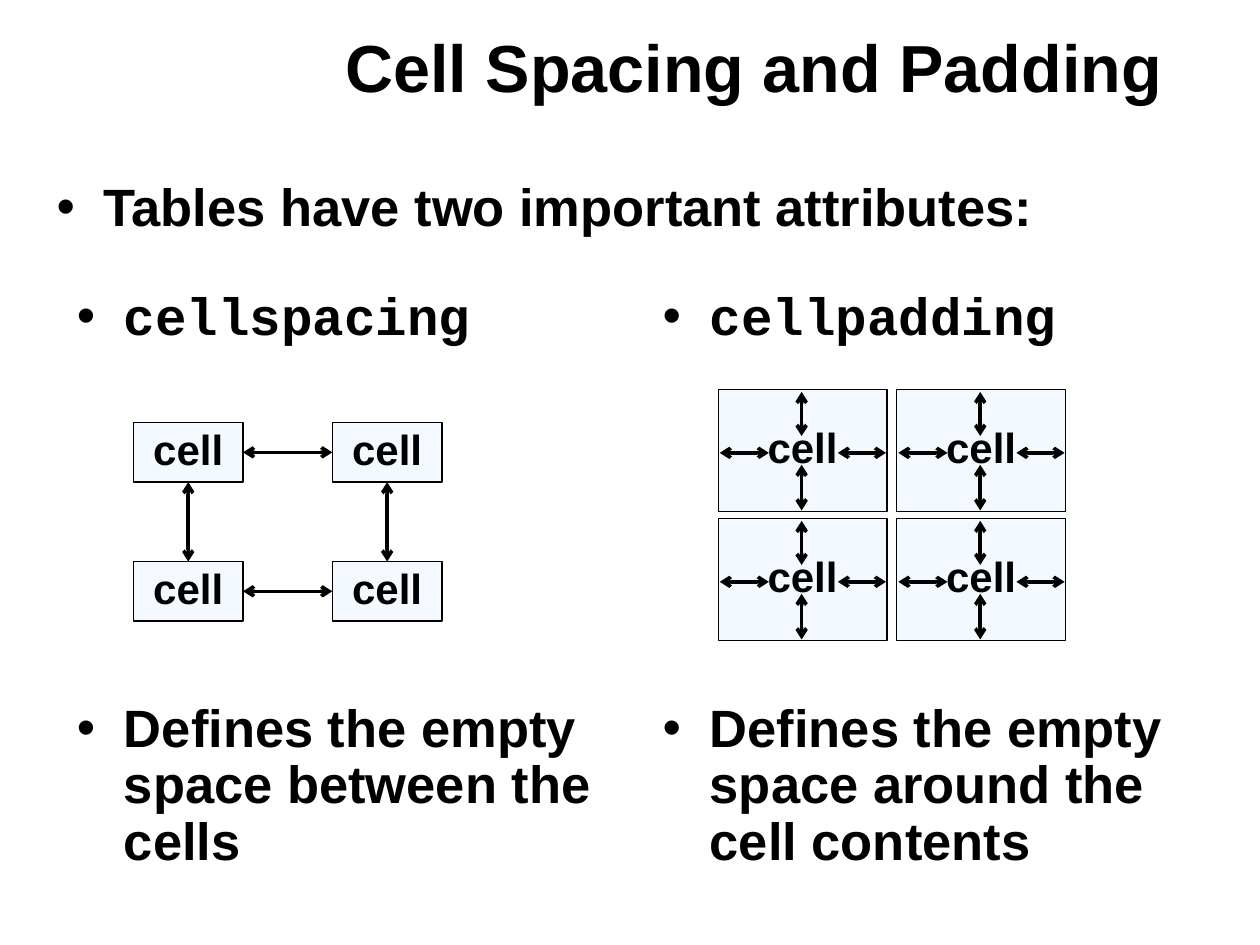
from itertools import product
from typing import NamedTuple

from lxml import etree
from pptx import Presentation
from pptx import util as u
from pptx.dml.color import RGBColor
from pptx.enum import shapes, text
from pptx.oxml.ns import qn

COLORS = {"ink": "000000", "cell": "DDECFF"}
SANS, MONO = "Arial", "Courier New"
CELL_OPACITY = 30000


class Box(NamedTuple):
    """Position and size in centimetres."""
    left: float
    top: float
    width: float
    height: float

    def lengths(self) -> list:
        return [u.Cm(value) for value in self]


class Bullet(NamedTuple):
    words: str
    font: str = SANS
    space_before: int = 0


class Arrow(NamedTuple):
    """Start and end in centimetres."""
    x1: float
    y1: float
    x2: float
    y2: float


class Grid(NamedTuple):
    """Two by two cells: the first cell and the step to the next ones."""
    first: Box
    step_x: float
    step_y: float

    def cells(self) -> list[Box]:
        left, top, width, height = self.first
        return [Box(left + column * self.step_x, top + row * self.step_y, width, height)
                for row, column in product(range(2), repeat=2)]


def color(name: str) -> RGBColor:
    return RGBColor.from_string(COLORS[name])


def format_paragraph(paragraph, size: int, spacing: float, font: str = SANS) -> None:
    paragraph.line_spacing = spacing
    for run in paragraph.runs:
        run.font.name = font
        run.font.size = u.Pt(size)
        run.font.bold = True
        run.font.color.rgb = color("ink")


def add_bullets(slide, box: Box, bullets: list[Bullet]) -> None:
    frame = slide.shapes.add_textbox(*box.lengths()).text_frame
    frame.word_wrap = True
    frame.text = "\n".join(bullet.words for bullet in bullets)
    for paragraph, bullet in zip(frame.paragraphs, bullets):
        format_paragraph(paragraph, 30, 0.9, bullet.font)
        paragraph.space_before = u.Pt(bullet.space_before)
        properties = paragraph._p.get_or_add_pPr()
        properties.set("marL", str(u.Cm(0.95)))
        properties.set("indent", str(u.Cm(-0.95)))
        bullet_color = etree.SubElement(properties, qn("a:buClr"))
        etree.SubElement(bullet_color, qn("a:srgbClr"), val=COLORS["ink"])
        etree.SubElement(properties, qn("a:buFont"), typeface=SANS)
        etree.SubElement(properties, qn("a:buChar"), char="•")


def add_cell(group, box: Box) -> None:
    shape = group.shapes.add_shape(shapes.MSO_SHAPE.RECTANGLE, *box.lengths())
    shape.shadow.inherit = False
    shape.fill.solid()
    shape.fill.fore_color.rgb = color("cell")
    fill_color = shape._element.spPr.find(qn("a:solidFill"))[0]
    etree.SubElement(fill_color, qn("a:alpha"), val=str(CELL_OPACITY))
    shape.line.color.rgb = color("ink")
    shape.line.width = u.Pt(0.75)
    frame = shape.text_frame
    frame.word_wrap = False
    frame.vertical_anchor = text.MSO_ANCHOR.MIDDLE
    frame.text = "cell"
    paragraph = frame.paragraphs[0]
    paragraph.alignment = text.PP_ALIGN.CENTER
    format_paragraph(paragraph, 24, 0.85)


def add_arrow(group, arrow: Arrow) -> None:
    connector = group.shapes.add_connector(
        shapes.MSO_CONNECTOR.STRAIGHT, *(u.Cm(value) for value in arrow))
    connector.line.color.rgb = color("ink")
    connector.line.width = u.Pt(2)
    for end in ("a:headEnd", "a:tailEnd"):
        etree.SubElement(connector.line._get_or_add_ln(), qn(end), type="arrow")
    etree.SubElement(connector._element.spPr, qn("a:effectLst"))


def spacing_arrows(grid: Grid) -> list[Arrow]:
    """Arrows that bridge the gaps between neighbouring cells."""
    left, top, width, height = grid.first
    across = [Arrow(left + width, y, left + grid.step_x, y)
              for y in (top + height / 2, top + grid.step_y + height / 2)]
    down = [Arrow(x, top + height, x, top + grid.step_y)
            for x in (left + width / 2, left + grid.step_x + width / 2)]
    return across + down


def padding_arrows(cell: Box) -> list[Arrow]:
    """Arrows from the word in a cell to its four edges."""
    x, y = cell.left + 1.68, cell.top + 1.28
    across = [Arrow(cell.left + start, y, cell.left + end, y)
              for start, end in ((0.03, 1.02), (2.41, 3.38))]
    down = [Arrow(x, cell.top + start, x, cell.top + end)
            for start, end in ((0.05, 0.94), (1.52, 2.44))]
    return across + down


def add_diagram(slide, cells: list[Box], arrows: list[Arrow]) -> None:
    group = slide.shapes.add_group_shape()
    for cell in cells:
        add_cell(group, cell)
    for arrow in arrows:
        add_arrow(group, arrow)


def add_title(slide, box: Box, words: str) -> None:
    title = slide.shapes.title
    title.left, title.top, title.width, title.height = box.lengths()
    frame = title.text_frame
    frame.text = words
    frame.auto_size = text.MSO_AUTO_SIZE.NONE
    frame.vertical_anchor = text.MSO_ANCHOR.MIDDLE
    paragraph = frame.paragraphs[0]
    paragraph.alignment = text.PP_ALIGN.LEFT
    format_paragraph(paragraph, 38, 0.85)


def main() -> None:
    presentation = Presentation()
    presentation.slide_width, presentation.slide_height = u.Cm(25.4), u.Cm(19.05)
    slide = presentation.slides.add_slide(presentation.slide_layouts[5])

    # Title and introduction
    add_title(slide, Box(6.71, 0.2, 18.21, 2.51), "Cell Spacing and Padding")
    add_bullets(slide, Box(0.89, 3.53, 23.6, 1.6),
                [Bullet("Tables have two important attributes:")])

    # Attribute columns, with room for a diagram between name and meaning
    columns = [
        (Box(1.3, 5.72, 11.2, 12.19), "cellspacing",
         "Defines the empty space between the cells"),
        (Box(13.11, 5.72, 11, 12.19), "cellpadding",
         "Defines the empty space around the cell contents"),
    ]
    for box, name, meaning in columns:
        add_bullets(slide, box, [Bullet(name, MONO), Bullet(meaning, space_before=203)])

    # Cell spacing diagram
    spacing = Grid(Box(2.69, 8.52, 2.21, 1.2), 4.01, 2.8)
    add_diagram(slide, spacing.cells(), spacing_arrows(spacing))

    # Cell padding diagram
    padding = Grid(Box(14.48, 7.85, 3.4, 2.46), 3.6, 2.6)
    cells = padding.cells()
    add_diagram(slide, cells, [arrow for cell in cells for arrow in padding_arrows(cell)])

    presentation.save("out.pptx")


if __name__ == "__main__":
    main()
